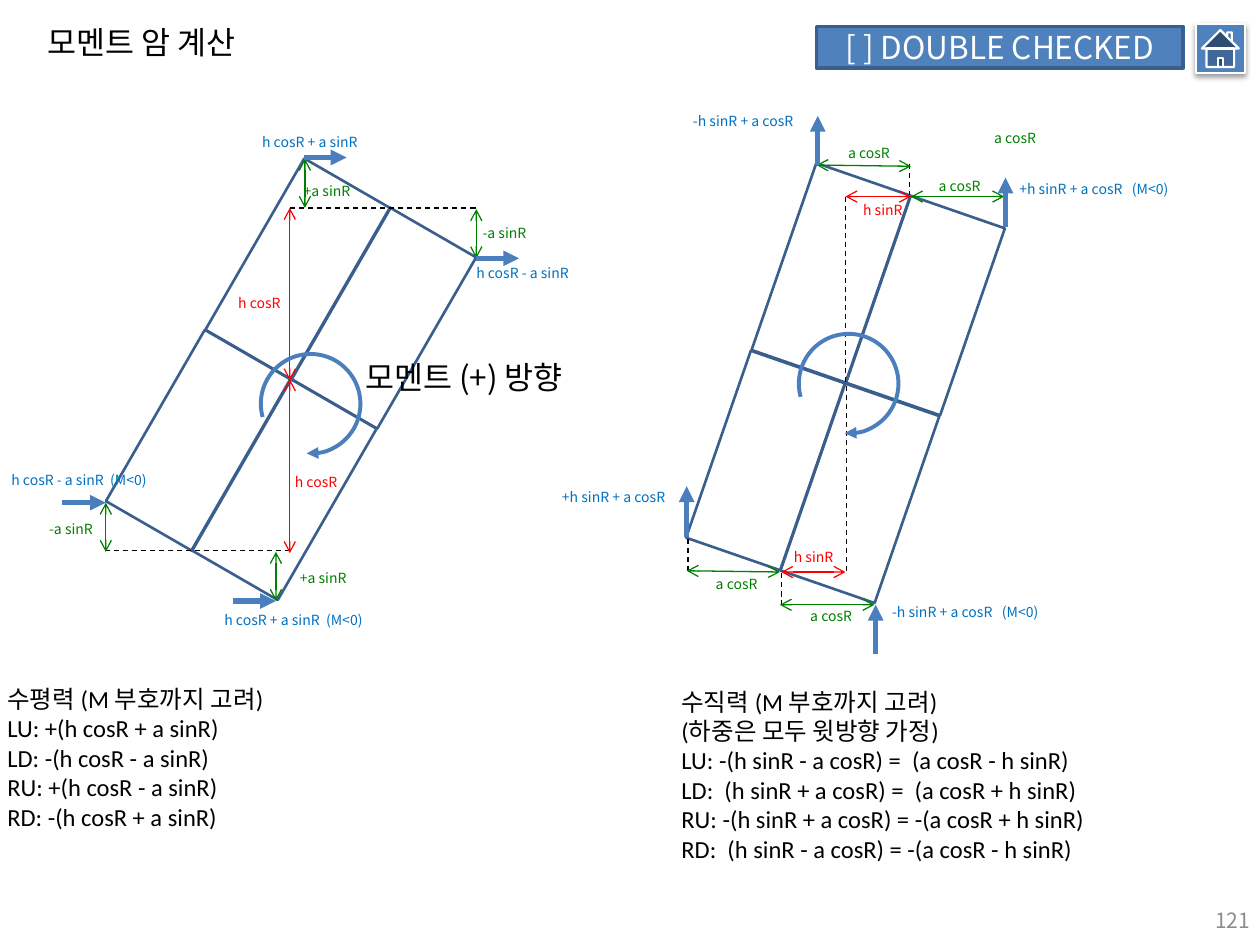
import math
from lxml import etree
from pptx import Presentation
from pptx.dml.color import RGBColor
from pptx.enum import dml, shapes, text
from pptx.oxml.ns import qn
from pptx.util import Pt

PX = 9144  # 100 px to the inch
THEME = {
    "sans": "Noto Sans CJK KR", "body": "Calibri",
    "title": 18, "note": 14, "number": 12, "label": 8,
    "black": "000000", "white": "FFFFFF", "gray": "8C8C8C",
    "fill": "4F81BD", "edge": "3A5F8C", "accent": "4B7EBC",
    "red": "FF0000", "green": "008000", "blue": "0070C0",
}
# colour, width, head at start, head at end
LINES = {
    "force": ("accent", 3, None, "triangle"),
    "height": ("red", 0.75, "arrow", "arrow"),
    "arm": ("green", 0.75, "arrow", "arrow"),
    "guide": ("black", 0.75, None, None),
}


def color(name):
    return RGBColor.from_string(THEME[name])


def write(shape, lines, size, ink, face="sans", align=None, anchor=None, tight=False):
    """Fill a shape with one paragraph per line; unanchored boxes grow with their text."""
    frame = shape.text_frame
    frame.word_wrap = anchor is not None
    if anchor is None:
        frame.auto_size = text.MSO_AUTO_SIZE.SHAPE_TO_FIT_TEXT
    else:
        frame.vertical_anchor = anchor
    if tight:
        frame.margin_left = frame.margin_right = 4 * PX
        frame.margin_top = frame.margin_bottom = 0
    for index, line in enumerate(lines):
        paragraph = frame.add_paragraph() if index else frame.paragraphs[0]
        paragraph.alignment = align
        run = paragraph.add_run()
        run.text = line
        run.font.size = Pt(THEME[size])
        run.font.name = THEME[face]
        run.font.color.rgb = color(ink)
        latin = run.font._element.find(qn("a:latin"))
        east_asian = etree.Element(qn("a:ea"), typeface=THEME["sans"])
        latin.addnext(east_asian)


presentation = Presentation()
presentation.slide_width, presentation.slide_height = 1000 * PX, 750 * PX
slide = presentation.slides.add_slide(presentation.slide_layouts[6])

# Title, page number and buttons
title = slide.shapes.add_textbox(28 * PX, 13 * PX, 190 * PX, 40 * PX)
write(title, ["모멘트 암 계산"], "title", "black")
number = slide.shapes.add_textbox(769 * PX, 710 * PX, 233 * PX, 40 * PX)
write(number, ["121"], "number", "gray", align=text.PP_ALIGN.RIGHT, anchor=text.MSO_ANCHOR.MIDDLE)

status = slide.shapes.add_shape(shapes.MSO_SHAPE.RECTANGLE, 648 * PX, 21 * PX, 291 * PX, 33 * PX)
home = slide.shapes.add_shape(shapes.MSO_SHAPE.ACTION_BUTTON_HOME, 949 * PX, 19 * PX, 39 * PX, 39 * PX)
for button, edge, width in ((status, "edge", 2), (home, "white", 1.25)):
    button.fill.solid()
    button.fill.fore_color.rgb = color("fill")
    button.line.color.rgb = color(edge)
    button.line.width = Pt(width)
    button.shadow.inherit = False
write(status, ["[ ] DOUBLE CHECKED"], "title", "white",
      align=text.PP_ALIGN.CENTER, anchor=text.MSO_ANCHOR.MIDDLE)
effects = home._element.spPr.find(qn("a:effectLst"))
shadow = etree.SubElement(effects, qn("a:outerShdw"), blurRad=str(Pt(3.1)),
                          dist=str(Pt(1.6)), dir="5400000", rotWithShape="0")
shadow_color = etree.SubElement(shadow, qn("a:srgbClr"), val=THEME["black"])
etree.SubElement(shadow_color, qn("a:alpha"), val="38000")

# Each figure: centre, tilt, lines (kind, x1, y1, x2, y2), labels (text, ink, x, y, width)
horizontal = {
    "centre": (231, 301), "tilt": 30,
    "lines": [
        ("guide", 83, 437, 230, 437), ("guide", 230, 165, 378, 165),
        ("height", 230, 301, 230, 439), ("height", 230, 165, 230, 302),
        ("arm", 219, 477, 219, 438), ("arm", 84, 438, 84, 399),
        ("arm", 242, 165, 242, 126), ("arm", 378, 205, 378, 166),
        ("force", 185, 477, 219, 477), ("force", 49, 399, 84, 399),
        ("force", 241, 125, 275, 125), ("force", 378, 205, 412, 205),
    ],
    "labels": [
        ("h cosR", "red", 230, 376, 42), ("h cosR", "red", 185, 234, 42),
        ("+a sinR", "green", 234, 452, 47), ("+a sinR", "green", 237, 145, 47),
        ("-a sinR", "green", 35, 413, 43), ("-a sinR", "green", 379, 178, 43),
        ("h cosR + a sinR", "blue", 204, 106, 89),
        ("h cosR - a sinR", "blue", 374, 210, 86),
        ("h cosR + a sinR  (M<0)", "blue", 174, 485, 128),
        ("h cosR - a sinR  (M<0)", "blue", 5, 374, 125),
    ],
}
vertical = {
    "centre": (671, 304), "tilt": 19.1,
    "lines": [
        ("guide", 672, 306, 672, 454), ("guide", 671, 156, 671, 304),
        ("guide", 620, 455, 620, 479), ("guide", 546, 428, 546, 453),
        ("guide", 722, 130, 722, 155),
        ("height", 620, 454, 671, 454), ("height", 671, 156, 723, 156),
        ("arm", 619, 480, 694, 480), ("arm", 545, 453, 619, 454),
        ("arm", 648, 131, 723, 132), ("arm", 723, 156, 797, 156),
        ("force", 695, 519, 695, 480), ("force", 545, 426, 545, 386),
        ("force", 798, 180, 798, 141), ("force", 649, 131, 649, 92),
    ],
    "labels": [
        ("h sinR", "red", 626, 435, 42), ("h sinR", "red", 681, 160, 42),
        ("a cosR", "green", 639, 482, 45), ("a cosR", "green", 564, 457, 45),
        ("a cosR", "green", 669, 115, 45), ("a cosR", "green", 785, 103, 45),
        ("a cosR", "green", 741, 141, 45),
        ("-h sinR + a cosR   (M<0)", "blue", 704, 479, 137),
        ("+h sinR + a cosR   (M<0)", "blue", 805, 143, 140),
        ("+h sinR + a cosR", "blue", 442, 388, 97),
        ("-h sinR + a cosR", "blue", 546, 89, 94),
    ],
}
PANEL_W, PANEL_H = 79, 157
for figure in (vertical, horizontal):
    group = slide.shapes.add_group_shape()
    centre_x, centre_y = figure["centre"]
    cos, sin = (f(math.radians(figure["tilt"])) for f in (math.cos, math.sin))
    for side in (0.5, -0.5):
        for level in (-0.5, 0.5):
            across, down = side * PANEL_W, level * PANEL_H
            left = round(centre_x + across * cos - down * sin - PANEL_W / 2)
            top = round(centre_y + across * sin + down * cos - PANEL_H / 2)
            panel = group.shapes.add_shape(shapes.MSO_SHAPE.RECTANGLE, left * PX, top * PX,
                                           PANEL_W * PX, PANEL_H * PX)
            panel.rotation = figure["tilt"]
            panel.fill.background()
            panel.line.color.rgb = color("edge")
            panel.line.width = Pt(1.5)
            panel.shadow.inherit = False

    for kind, *ends in figure["lines"]:
        ink, width, head, tail = LINES[kind]
        connector = group.shapes.add_connector(shapes.MSO_CONNECTOR.STRAIGHT, *(v * PX for v in ends))
        connector.line.color.rgb = color(ink)
        connector.line.width = Pt(width)
        if kind == "guide":
            connector.line.dash_style = dml.MSO_LINE.DASH
        for tag, arrow in (("a:headEnd", head), ("a:tailEnd", tail)):
            if arrow:
                etree.SubElement(connector.get_or_add_ln(), qn(tag), type=arrow)
        etree.SubElement(connector._element.spPr, qn("a:effectLst"))

    for words, ink, left, top, width in figure["labels"]:
        label = slide.shapes.add_textbox(left * PX, top * PX, width * PX, 13 * PX)
        write(label, [words], "label", ink, tight=True)
        label.text_frame.auto_size = text.MSO_AUTO_SIZE.NONE

# Positive moment direction
for left, top in ((634, 265), (207, 281)):
    arc = slide.shapes.add_shape(shapes.MSO_SHAPE.ARC, left * PX, top * PX, 79 * PX, 79 * PX)
    arc.adjustments[0], arc.adjustments[1] = 98.76, 56.73
    arc.fill.background()
    arc.line.color.rgb = color("accent")
    arc.line.width = Pt(2.25)
    arc.shadow.inherit = False
    etree.SubElement(arc.get_or_add_ln(), qn("a:tailEnd"), type="triangle")
direction = slide.shapes.add_textbox(280 * PX, 279 * PX, 197 * PX, 40 * PX)
write(direction, ["모멘트 (+) 방향"], "title", "black")

# Formulas
formulas = [
    ((-4, 538, 256, 128), [
        "수평력 (M 부호까지 고려)",
        "LU: +(h cosR + a sinR)",
        "LD: -(h cosR - a sinR)",
        "RU: +(h cosR - a sinR)",
        "RD: -(h cosR + a sinR)",
    ]),
    ((531, 540, 452, 151), [
        "수직력 (M 부호까지 고려)",
        "(하중은 모두 윗방향 가정)",
        "LU: -(h sinR - a cosR) =  (a cosR - h sinR)",
        "LD:  (h sinR + a cosR) =  (a cosR + h sinR)",
        "RU: -(h sinR + a cosR) = -(a cosR + h sinR)",
        "RD:  (h sinR - a cosR) = -(a cosR - h sinR)",
    ]),
]
for box, lines in formulas:
    formula = slide.shapes.add_textbox(*(v * PX for v in box))
    write(formula, lines, "note", "black", face="body")

presentation.save("out.pptx")
